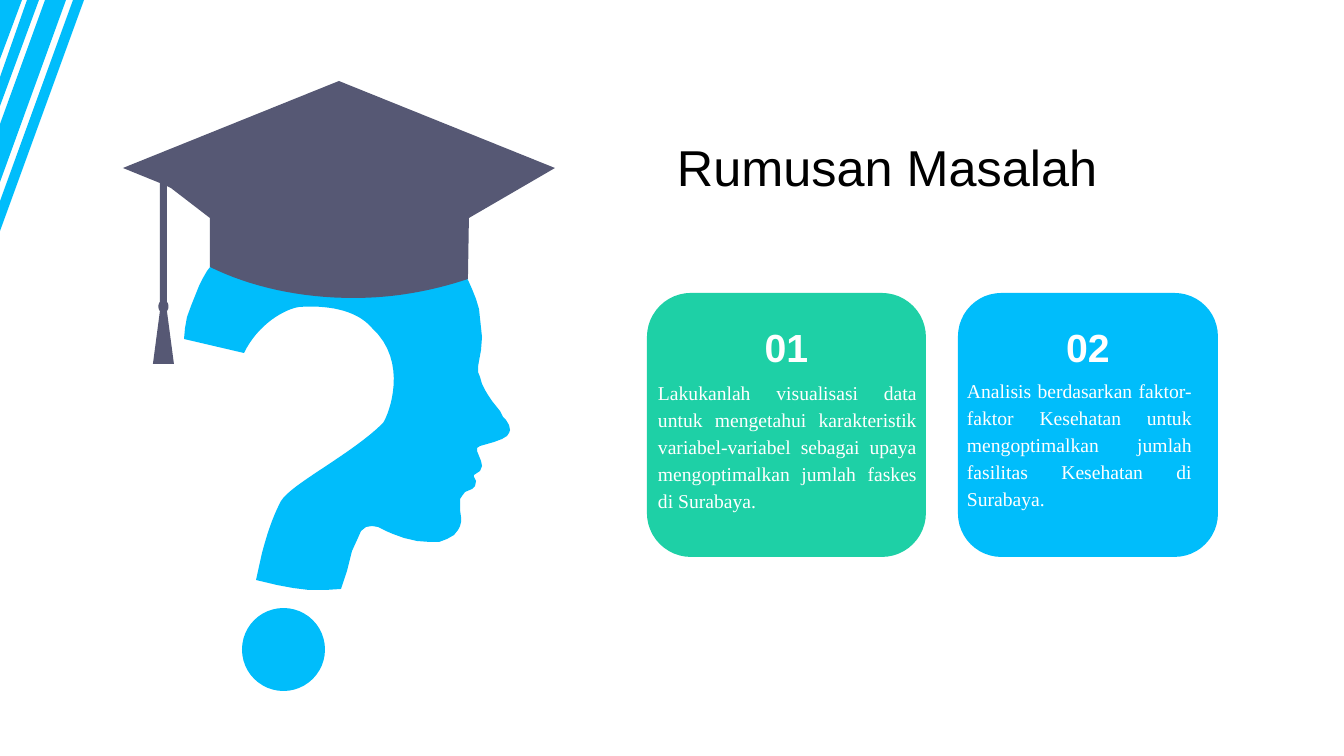
import pptx
import pptx.dml.color
import pptx.enum.shapes
import pptx.enum.text
import pptx.util

EMU_PER_PX = 914400 / 100.8
CURVE_STEPS = 16
COLORS = {"blue": "00BDFB", "green": "1ED0A6", "slate": "565874", "white": "FFFFFF", "black": "000000"}
SHAPES = pptx.enum.shapes.MSO_SHAPE
ALIGN = pptx.enum.text.PP_ALIGN
ANCHOR = pptx.enum.text.MSO_ANCHOR

STRIPES = [
    [(0, 0), (22, 0), (0, 59)],
    [(27, 0), (39, 0), (0, 106), (0, 77)],
    [(45, 0), (66, 0), (0, 182), (0, 124)],
    [(73, 0), (84, 0), (0, 231), (0, 201)],
]

CAP = [
    (216, 0), (0, 87), (37, 102), (37, 221), (35, 223, 35, 228, 37, 230),
    (30, 283), (51, 283), (44, 230), (46, 228, 46, 223, 44, 221),
    (44, 105), (48, 107), (87, 137), (87, 186),
    (128, 206, 177, 217, 231, 217), (271, 217, 309, 210, 345, 198),
    (346, 137), (432, 87),
]

CROWN = [
    (0, 129), (1, 118), (3, 107), (7, 96), (11, 86), (15, 76), (19, 68), (23, 61),
    (30, 52), (44, 37), (61, 24), (80, 13), (101, 6), (124, 2), (151, 0), (179, 2),
    (192, 5), (223, 16), (241, 26), (258, 38), (272, 53), (284, 70), (288, 79),
    (292, 89), (295, 99), (298, 127),
]
PROFILE = [
    (297, 140), (295, 151), (294, 157), (294, 162), (296, 167), (298, 174), (301, 180),
    (304, 185), (308, 191), (316, 201), (319, 207), (322, 210), (325, 215), (326, 220),
    (325, 223), (323, 226), (318, 229), (310, 232), (303, 234), (296, 236), (293, 238),
    (293, 241), (295, 246), (297, 251), (298, 256), (296, 261), (290, 265), (290, 267),
    (292, 271), (291, 276), (288, 279), (281, 282), (278, 286), (276, 289), (276, 300),
    (277, 307), (277, 312), (276, 316), (274, 320), (270, 325), (263, 329), (255, 332),
    (246, 332), (233, 331), (220, 328), (209, 324), (202, 321), (194, 317), (188, 316),
]
NECK = [
    (182, 317), (177, 321), (173, 330), (168, 341), (163, 361), (158, 376), (157, 379),
    (141, 380), (125, 380), (109, 378), (93, 375), (72, 370), (78, 343),
]
HOOK = [
    (83, 324, 89, 306, 97, 291), (107, 274, 168, 244, 199, 213),
    (205, 204, 225, 152, 188, 118), (172, 99, 141, 95, 115, 97),
    (101, 99, 74, 114, 60, 143),
]


def px(length):
    return pptx.util.Emu(round(length * EMU_PER_PX))


def rgb(color):
    return pptx.dml.color.RGBColor.from_string(COLORS[color])


def paint(shape, color):
    shape.shadow.inherit = False
    shape.fill.solid()
    shape.fill.fore_color.rgb = rgb(color)
    shape.line.fill.background()
    return shape


def add_preset(slide, kind, box, color):
    return paint(slide.shapes.add_shape(kind, *map(px, box)), color)


def curve_points(start, curve):
    anchors = [start, curve[:2], curve[2:4], curve[4:]]
    for step in range(1, CURVE_STEPS + 1):
        t = step / CURVE_STEPS
        weights = ((1 - t) ** 3, 3 * t * (1 - t) ** 2, 3 * t * t * (1 - t), t ** 3)
        yield tuple(sum(w * a[axis] for w, a in zip(weights, anchors)) for axis in (0, 1))


def flatten(outline):
    points = []
    for segment in outline:
        points.extend([segment] if len(segment) == 2 else curve_points(points[-1], segment))
    return points


def add_outlines(slide, left, top, outlines, color):
    builder = None
    for outline in outlines:
        start, *rest = [(px(left + x), px(top + y)) for x, y in flatten(outline)]
        if builder is None:
            builder = slide.shapes.build_freeform(*start, scale=1.0)
        else:
            builder.move_to(*start)
        builder.add_line_segments(rest, close=True)
    return paint(builder.convert_to_shape(), color)


def write(holder, text, *, size, color, font="Arial", bold=False, align=ALIGN.LEFT,
          anchor=ANCHOR.TOP, margins=(10, 5, 10, 5), line_spacing=1.0, gap=0):
    frame = holder.text_frame
    frame.word_wrap = True
    frame.auto_size = pptx.enum.text.MSO_AUTO_SIZE.NONE
    frame.vertical_anchor = anchor
    frame.margin_left, frame.margin_top, frame.margin_right, frame.margin_bottom = map(px, margins)
    paragraph = frame.paragraphs[0]
    paragraph.alignment = align
    paragraph.line_spacing = line_spacing
    paragraph.space_before = paragraph.space_after = pptx.util.Pt(gap)
    run = paragraph.add_run()
    run.text = text
    run.font.name = font
    run.font.size = pptx.util.Pt(size)
    run.font.bold = bold
    run.font.color.rgb = rgb(color)


def place_title(slide, box, text):
    title = slide.shapes.title
    title.left, title.top, title.width, title.height = map(px, box)
    write(title, text, size=36, color="black", margins=(5, 0, 3, 0))


def draw_graduate(slide, left, top):
    add_outlines(slide, left + 61, top + 129, [CROWN + PROFILE + NECK + HOOK], "blue")
    add_preset(slide, SHAPES.OVAL, (left + 119, top + 527, 83, 83), "blue")
    add_outlines(slide, left, top, [CAP], "slate")


def draw_card(slide, box, color, number, question, question_box):
    left, top, width, height = box
    card = add_preset(slide, SHAPES.ROUNDED_RECTANGLE, box, color)
    card.adjustments[0] = 0.167
    number_label = slide.shapes.add_textbox(px(left), px(top + 12), px(width), px(84))
    write(number_label, number, size=28, color="white", bold=True, align=ALIGN.CENTER,
          anchor=ANCHOR.MIDDLE)
    dx, dy, question_width, question_height = question_box
    question_label = slide.shapes.add_textbox(
        px(left + dx), px(top + dy), px(question_width), px(question_height))
    write(question_label, question, size=14, color="white", font="Times New Roman",
          align=ALIGN.JUSTIFY, line_spacing=1.15, gap=6)


def main():
    deck = pptx.Presentation()
    deck.slide_width, deck.slide_height = px(1344), px(756)
    slide = deck.slides.add_slide(deck.slide_layouts[5])
    draw_graduate(slide, 123, 81)
    place_title(slide, (672, 136, 614, 61), "Rumusan Masalah")
    draw_card(slide, (647, 293, 279, 264), "green", "01",
              "Lakukanlah visualisasi data untuk mengetahui karakteristik variabel-variabel "
              "sebagai upaya mengoptimalkan jumlah faskes di Surabaya.",
              (1, 79, 279, 143))
    draw_card(slide, (958, 293, 260, 264), "blue", "02",
              "Analisis berdasarkan faktor-faktor Kesehatan untuk mengoptimalkan jumlah "
              "fasilitas Kesehatan di Surabaya.",
              (-1, 77, 245, 143))
    add_outlines(slide, 0, 0, STRIPES, "blue")
    deck.save("out.pptx")


if __name__ == "__main__":
    main()
